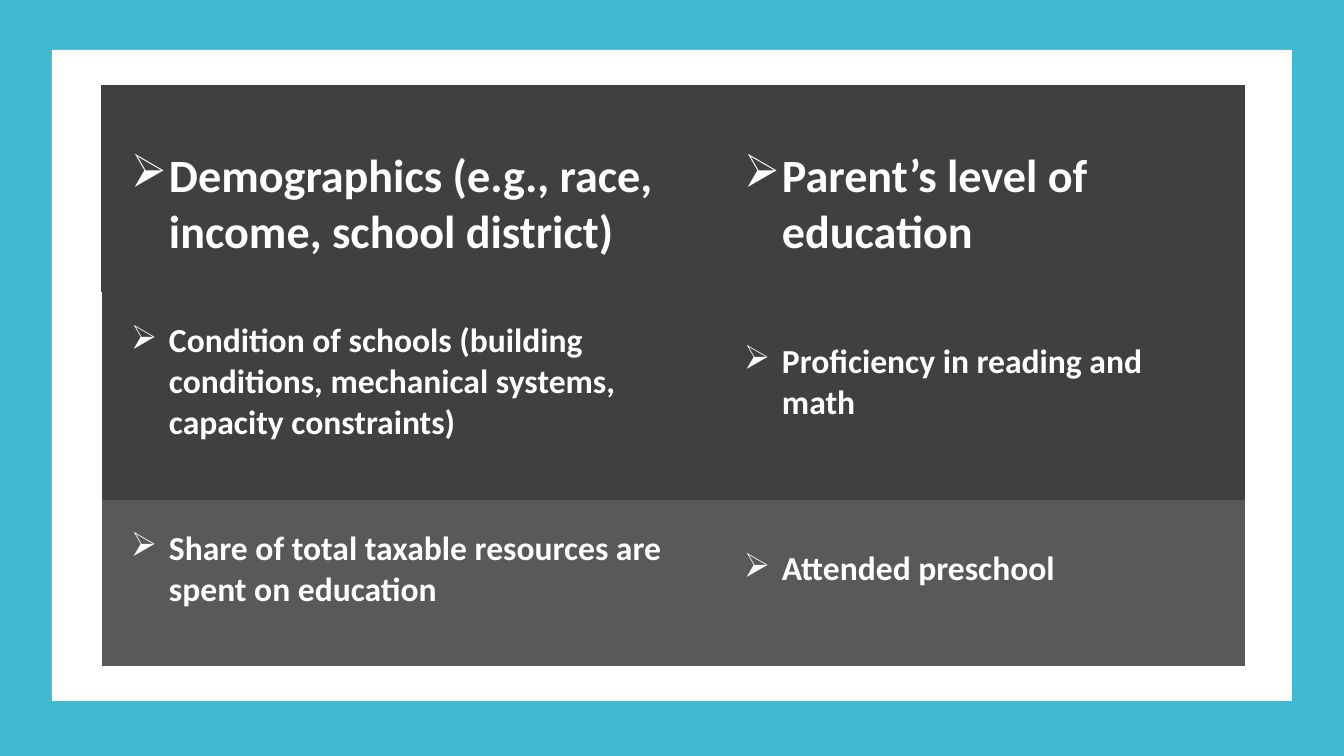
import dataclasses

import pptx
import pptx.dml.color
import pptx.enum.shapes
import pptx.enum.text
import pptx.oxml
import pptx.oxml.ns
import pptx.util

SLIDE_WIDTH, SLIDE_HEIGHT = 1344, 756
EMU_PER_PX = 12192000 / SLIDE_WIDTH

FACTORS = [
    ("Demographics (e.g., race, income, school district)",
     "Parent’s level of education"),
    ("Condition of schools (building conditions, mechanical systems, capacity constraints)",
     "Proficiency in reading and math"),
    ("Share of total taxable resources are spent on education",
     "Attended preschool"),
]


@dataclasses.dataclass(frozen=True)
class Theme:
    font: str = "Calibri"
    frame: str = "40BAD2"
    paper: str = "FFFFFF"
    text: str = "FFFFFF"
    dark_row: str = "404040"
    light_row: str = "595959"
    heading_size: int = 33
    body_size: int = 24
    border_width: int = 1


def px(length):
    return pptx.util.Emu(round(length * EMU_PER_PX))


def rgb(value):
    return pptx.dml.color.RGBColor.from_string(value)


def xml(tag, attributes="", content=""):
    namespace = pptx.oxml.ns.nsdecls("a")
    return pptx.oxml.parse_xml(f"<a:{tag} {namespace} {attributes}>{content}</a:{tag}>")


def solid(color):
    return f'<a:solidFill><a:srgbClr val="{color}"/></a:solidFill>'


class SlideBuilder:
    def __init__(self, slide, theme):
        self.slide = slide
        self.theme = theme

    def panel(self, left, top, width, height, color):
        panel = self.slide.shapes.add_shape(
            pptx.enum.shapes.MSO_SHAPE.RECTANGLE, px(left), px(top), px(width), px(height))
        panel.shadow.inherit = False
        panel.fill.solid()
        panel.fill.fore_color.rgb = rgb(color)
        panel.line.fill.background()

    def table(self, left, top, widths, heights, rows):
        table = self.slide.shapes.add_table(
            len(rows), len(widths), px(left), px(top),
            px(sum(widths)), px(sum(heights))).table
        for column, width in zip(table.columns, widths):
            column.width = px(width)
        for row, height in zip(table.rows, heights):
            row.height = px(height)
        for r, texts in enumerate(rows):
            for c, text in enumerate(texts):
                self.cell(table.cell(r, c), text,
                          heading=r == 0,
                          color=self.theme.light_row if r == len(rows) - 1 else self.theme.dark_row,
                          left_border=r > 0 and c == 0)

    def cell(self, cell, text, heading, color, left_border):
        anchors = pptx.enum.text.MSO_ANCHOR
        cell.vertical_anchor = anchors.BOTTOM if heading else anchors.MIDDLE
        cell.margin_left, cell.margin_top = px(14), px(4)
        cell.margin_right, cell.margin_bottom = px(22), px(31)
        cell.fill.solid()
        cell.fill.fore_color.rgb = rgb(color)
        self.borders(cell, left_border)

        paragraph = cell.text_frame.paragraphs[0]
        paragraph.text = text
        self.bullet(paragraph)
        font = paragraph.runs[0].font
        font.name = self.theme.font
        font.size = pptx.util.Pt(self.theme.heading_size if heading else self.theme.body_size)
        font.bold = True
        font.color.rgb = rgb(self.theme.text)

    def borders(self, cell, left_border):
        """Clear every edge, keeping a thin left line where asked."""
        properties = cell._tc.get_or_add_tcPr()
        width = pptx.util.Pt(self.theme.border_width)
        for position, edge in enumerate(("lnL", "lnR", "lnT", "lnB")):
            visible = left_border and edge == "lnL"
            paint = solid(self.theme.paper) if visible else "<a:noFill/>"
            properties.insert(position, xml(edge, f'w="{width}"', paint))

    def bullet(self, paragraph):
        properties = paragraph._p.get_or_add_pPr()
        properties.set("marL", str(px(54)))
        properties.set("indent", str(px(-38)))
        properties.append(xml("buClr", content=f'<a:srgbClr val="{self.theme.text}"/>'))
        properties.append(xml("buChar", 'char="➢"'))


def main():
    presentation = pptx.Presentation()
    presentation.slide_width = px(SLIDE_WIDTH)
    presentation.slide_height = px(SLIDE_HEIGHT)
    theme = Theme()
    builder = SlideBuilder(
        presentation.slides.add_slide(presentation.slide_layouts[6]), theme)
    builder.panel(0, 0, SLIDE_WIDTH, SLIDE_HEIGHT, theme.frame)
    builder.panel(52, 50, 1240, 651, theme.paper)
    builder.table(101, 85, (613, 531), (207, 208, 166), FACTORS)
    presentation.save("out.pptx")


if __name__ == "__main__":
    main()
